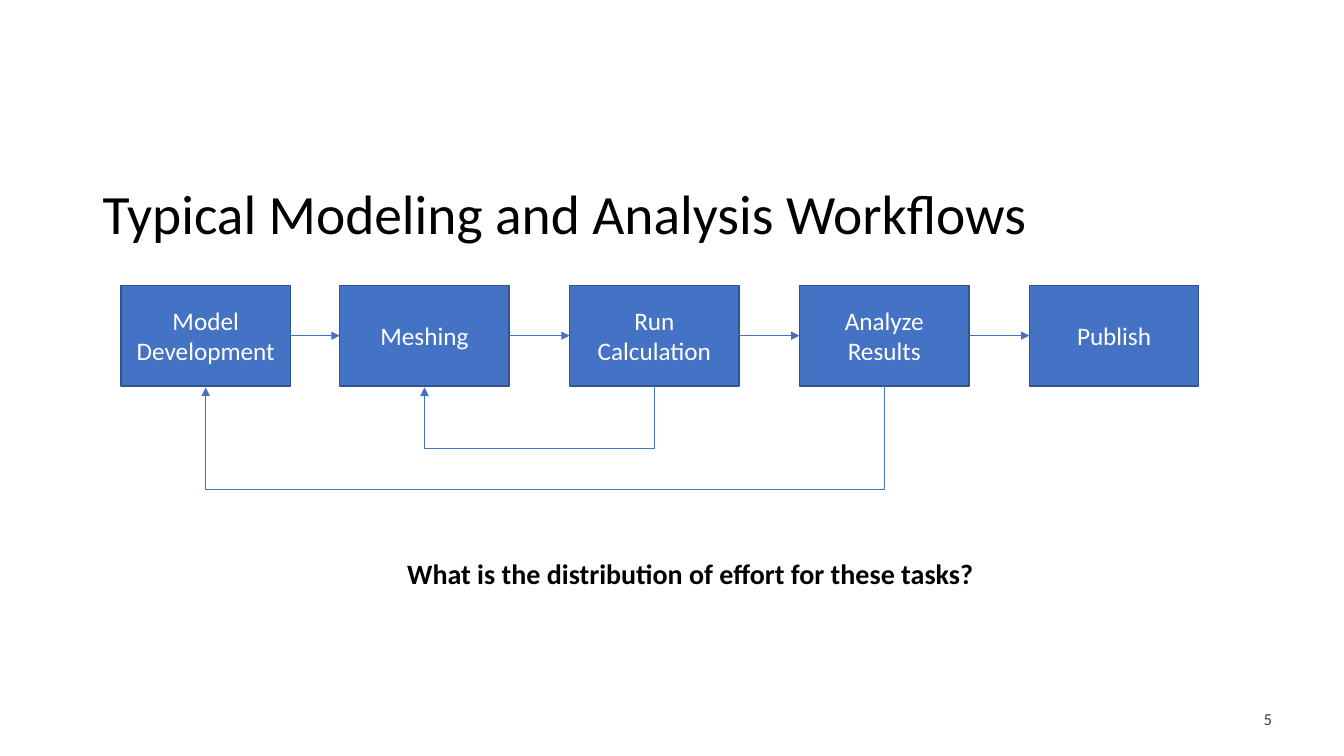
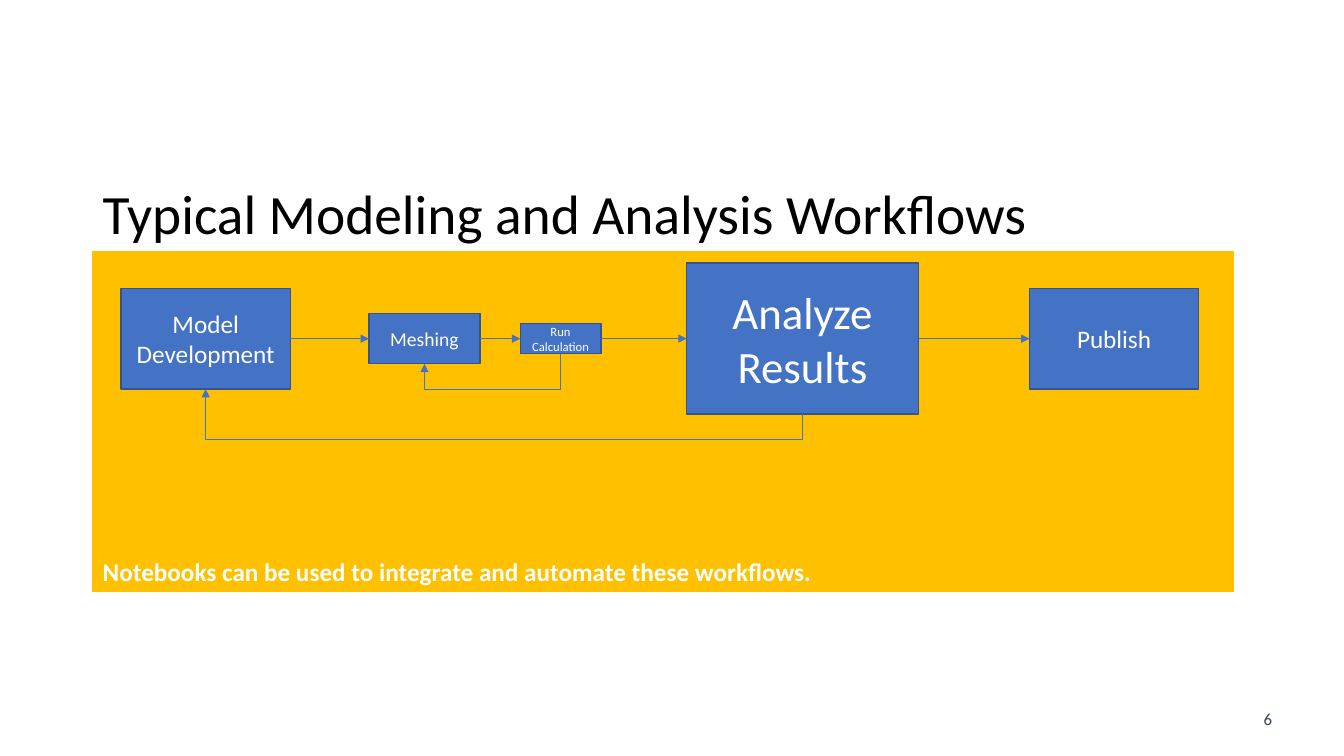
from dataclasses import dataclass
from itertools import pairwise

from lxml.etree import SubElement
from pptx import Presentation
from pptx.dml.color import RGBColor
from pptx.enum.shapes import MSO_CONNECTOR as Link, MSO_SHAPE as Shape
from pptx.enum.text import MSO_ANCHOR as Anchor, PP_ALIGN as Align
from pptx.oxml.ns import qn
from pptx.util import Inches, Pt


@dataclass(frozen=True)
class Theme:
    font: str = "Calibri"
    black: RGBColor = RGBColor(0x00, 0x00, 0x00)
    white: RGBColor = RGBColor(0xFF, 0xFF, 0xFF)
    blue: RGBColor = RGBColor(0x44, 0x72, 0xC4)
    border: RGBColor = RGBColor(0x32, 0x54, 0x91)
    gold: RGBColor = RGBColor(0xFF, 0xC0, 0x00)
    slate: RGBColor = RGBColor(0x33, 0x3F, 0x50)
    title_size: float = 39.6
    question_size: float = 20
    body_size: float = 18
    number_size: float = 12


theme = Theme()
BOTTOM, LEFT, RIGHT = 2, 1, 3  # connection sites of a rectangle


def add_box(page, area, text, size, color, fill=None, border=None,
            align=Align.LEFT, anchor=Anchor.TOP, bold=False):
    """Add a text box, or a rectangle when a fill is given."""
    area = [Inches(length) for length in area]
    if fill is None:
        box = page.shapes.add_textbox(*area)
    else:
        box = page.shapes.add_shape(Shape.RECTANGLE, *area)
        box.shadow.inherit = False
        box.fill.solid()
        box.fill.fore_color.rgb = fill
        box.line.color.rgb = border
        box.line.width = Pt(1)
    frame = box.text_frame
    frame.word_wrap = True
    frame.vertical_anchor = anchor
    para = frame.paragraphs[0]
    para.text = text
    para.alignment = align
    para.font.name = theme.font
    para.font.size = Pt(size)
    para.font.bold = bold
    para.font.color.rgb = color
    return box


def add_arrow(page, source, target, drop=None):
    """Link two boxes: straight ahead, or back beneath them by a drop."""
    kind = Link.STRAIGHT if drop is None else Link.ELBOW
    arrow = page.shapes.add_connector(kind, 0, 0, 0, 0)
    arrow.begin_connect(source, RIGHT if drop is None else BOTTOM)
    arrow.end_connect(target, LEFT if drop is None else BOTTOM)
    arrow.line.color.rgb = theme.blue
    arrow.line.width = Pt(0.5)
    props = arrow._element.spPr
    SubElement(props.find(qn("a:ln")), qn("a:tailEnd"), type="triangle")
    SubElement(props, qn("a:effectLst"))
    if drop is None:
        return

    # An elbow leaving downwards is a bent connector turned by 90 degrees
    rise = arrow.end_y - arrow.begin_y or Pt(1)
    span = arrow.begin_x - arrow.end_x
    center_x = (arrow.begin_x + arrow.end_x) // 2
    center_y = arrow.begin_y + rise // 2
    arrow.width, arrow.height = abs(rise), span
    arrow.left = center_x - abs(rise) // 2
    arrow.top = center_y - span // 2
    frame = props.find(qn("a:xfrm"))
    frame.set("rot", str(90 * 60000))
    frame.set("flipH", "1" if rise < 0 else "0")
    frame.set("flipV", "0")
    bend = round(Inches(drop) / rise * 100000)
    guides = props.find(qn("a:prstGeom")).find(qn("a:avLst"))
    SubElement(guides, qn("a:gd"), name="adj1", fmla=f"val {bend}")


# Workflow steps: label, centre, width, height, type size
labels = ["Model Development", "Meshing", "Run Calculation",
          "Analyze Results", "Publish"]
centers = [2.04] + [4.21 + 2.28 * step for step in range(4)]
standard = (1.68, 1, theme.body_size)
equal_steps = [(center, *standard) for center in centers]
effort_steps = [
    (2.04, *standard),
    (4.21, 1.1, 0.5, 14),
    (5.56, 0.8, 0.3, 9),
    (7.96, 2.3, 1.5, 32),
    (11.05, *standard),
]

# Slides: number, middle of the row, steps, drops of the two loops
slides = [
    (5, 3.33, equal_steps, 1.03, 0.62),
    (6, 3.36, effort_steps, 0.25, 0.35),
]

deck = Presentation()
deck.slide_width, deck.slide_height = Inches(13.33), Inches(7.5)

for number, middle, steps, outer_drop, inner_drop in slides:
    page = deck.slides.add_slide(deck.slide_layouts[6])

    # Message
    if number == 5:
        question = add_box(page, (3.94, 5.47, 5.87, 0.44),
                           "What is the distribution of effort for these tasks?",
                           theme.question_size, theme.black, bold=True)
        question.text_frame.word_wrap = False
    else:
        add_box(page, (0.92, 2.5, 11.31, 3.37),
                "Notebooks can be used to integrate and automate these workflows.",
                theme.body_size, theme.white, theme.gold, theme.gold,
                anchor=Anchor.BOTTOM, bold=True)

    # Title and slide number
    title = add_box(page, (0.92, 1.8, 11.5, 0.7),
                    "Typical Modeling and Analysis Workflows",
                    theme.title_size, theme.black, anchor=Anchor.MIDDLE)
    title.text_frame.paragraphs[0].line_spacing = 0.9
    add_box(page, (12.34, 6.98, 0.47, 0.3), str(number),
            theme.number_size, theme.slate, align=Align.CENTER)

    # Steps
    boxes = [
        add_box(page, (center - width / 2, middle - height / 2, width, height),
                label, size, theme.white, theme.blue, theme.border,
                Align.CENTER, Anchor.MIDDLE)
        for label, (center, width, height, size) in zip(labels, steps)
    ]

    # Arrows forward, then the loops back
    for source, target in pairwise(boxes):
        add_arrow(page, source, target)
    model, meshing, calculation, analysis, _ = boxes
    add_arrow(page, analysis, model, outer_drop)
    add_arrow(page, calculation, meshing, inner_drop)

deck.save("out.pptx")
